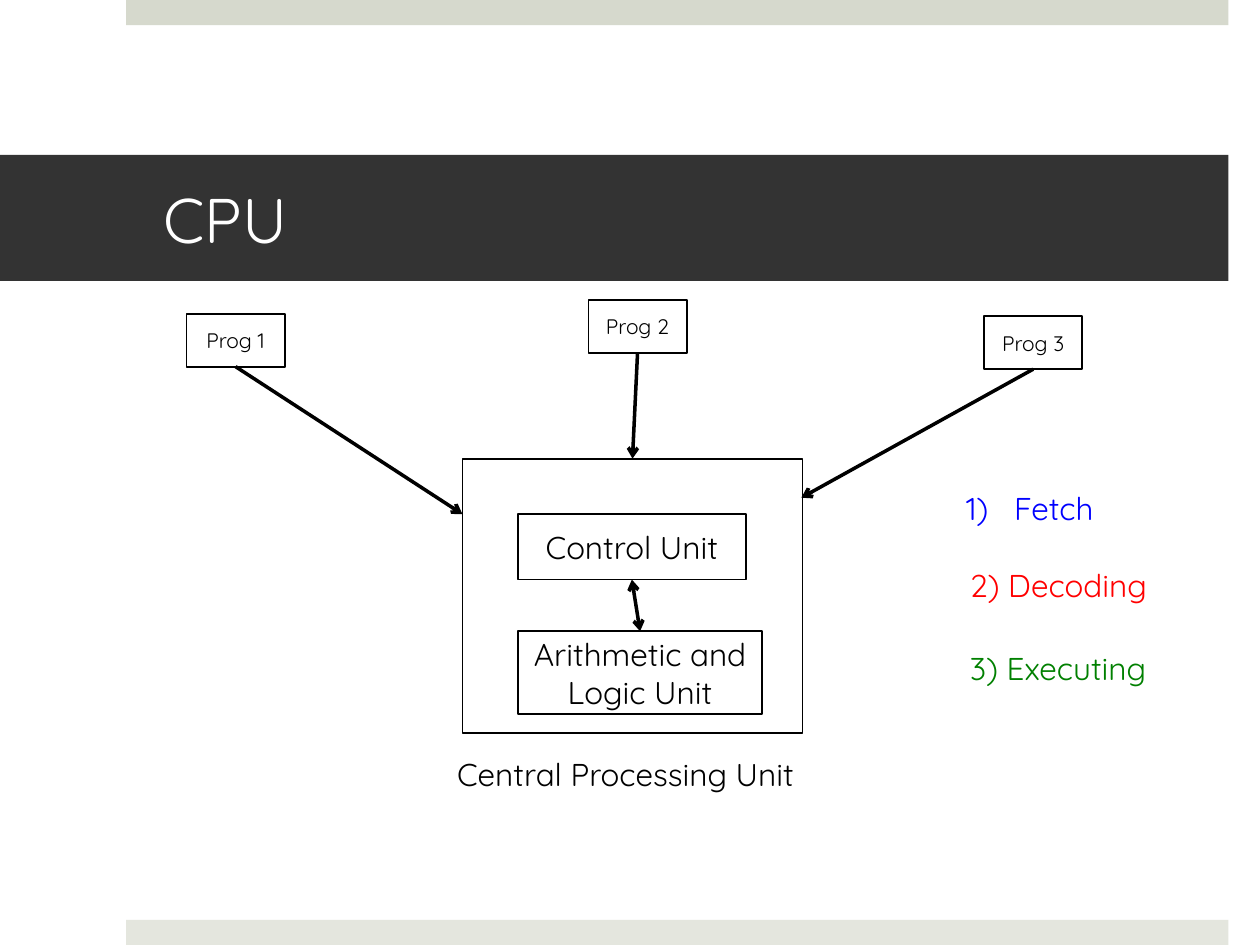
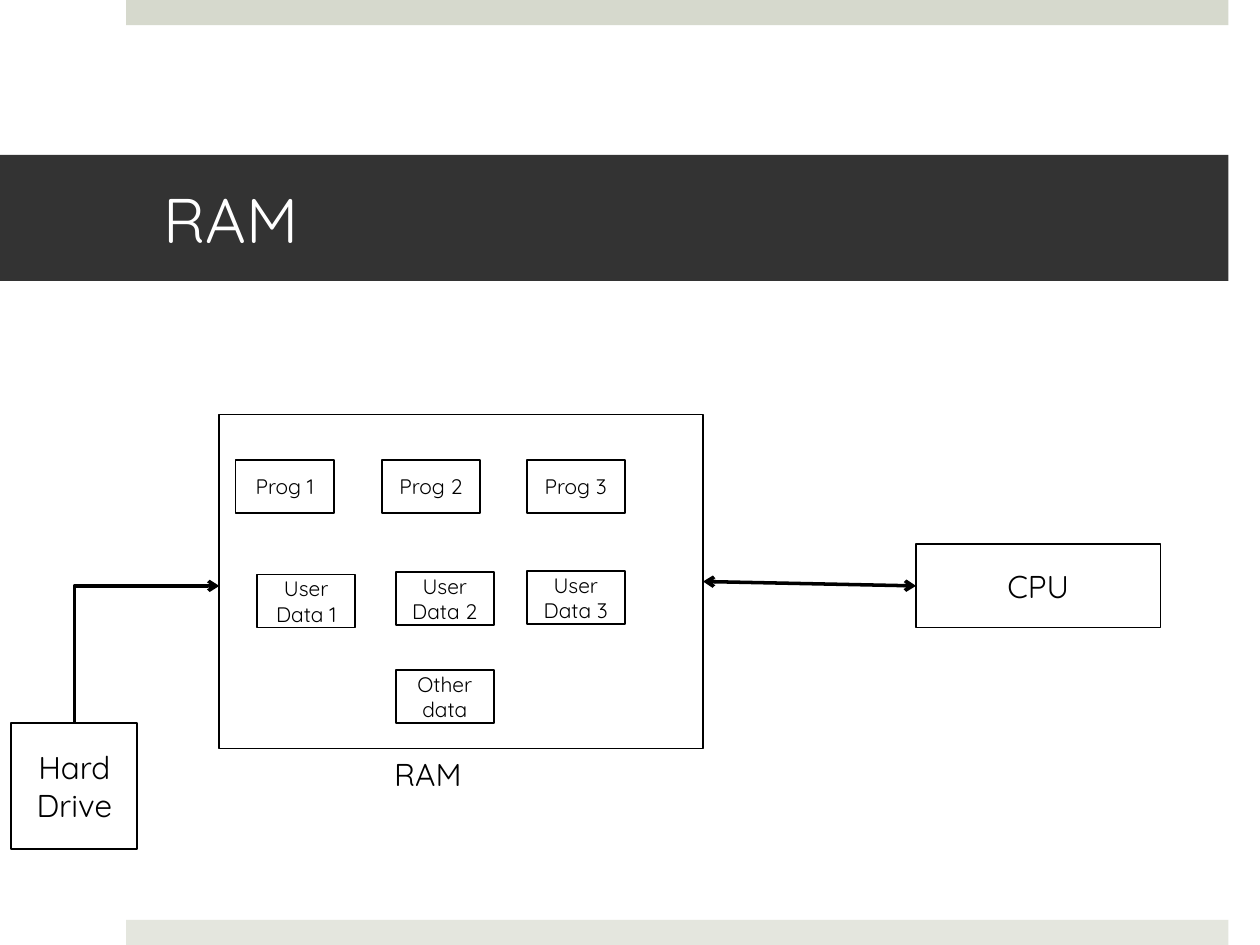
from lxml import etree
from pptx import Presentation
from pptx.dml.color import RGBColor
from pptx.enum.shapes import MSO_CONNECTOR, MSO_SHAPE
from pptx.enum.text import MSO_ANCHOR, MSO_AUTO_SIZE, PP_ALIGN
from pptx.oxml.ns import qn
from pptx.util import Pt

PX = 9144  # EMU in one px, at 100 px to the inch
RECTANGLE = MSO_SHAPE.RECTANGLE
STRAIGHT = MSO_CONNECTOR.STRAIGHT
MIDDLE = MSO_ANCHOR.MIDDLE
FIT_TEXT = MSO_AUTO_SIZE.SHAPE_TO_FIT_TEXT
LEFT, CENTER = PP_ALIGN.LEFT, PP_ALIGN.CENTER
TOP_SIDE, LEFT_SIDE, BOTTOM_SIDE, RIGHT_SIDE = range(4)

FONT = "Quicksand"
COLORS = {
    "top band": "D6D9CD",
    "bottom band": "E4E6DE",
    "title band": "333333",
    "white": "FFFFFF",
    "black": "000000",
    "fetch": "0000FF",
    "decode": "FF0000",
    "execute": "008000",
}
TITLE_FRAME = {
    "vertical_anchor": MIDDLE,
    "margin_left": 130 * PX,
    "margin_right": 30 * PX,
}
BOX_FRAME = {"vertical_anchor": MIDDLE, "word_wrap": True}
LABEL_FRAME = {"word_wrap": False, "auto_size": FIT_TEXT}
SMALL_BOX = (78, 42)


def set_attributes(target, values):
    for name, value in values.items():
        setattr(target, name, value)


def color(name):
    return RGBColor.from_string(COLORS[name])


class Deck:
    """Holds the presentation, its style and the slide being built."""

    def __init__(self):
        self.presentation = Presentation()
        set_attributes(self.presentation, {"slide_width": 1000 * PX, "slide_height": 750 * PX})
        self.slide = None

    def new_slide(self, title):
        self.slide = self.presentation.slides.add_slide(self.presentation.slide_layouts[6])
        self.rectangle(100, 0, 875, 20, "top band")
        self.rectangle(100, 730, 875, 20, "bottom band")
        band = self.rectangle(0, 123, 975, 100, "title band")
        self.add_text(band, title, 36, "white", LEFT, TITLE_FRAME)

    def rectangle(self, left, top, width, height, fill):
        shape = self.slide.shapes.add_shape(
            RECTANGLE, left * PX, top * PX, width * PX, height * PX)
        shape.shadow.inherit = False
        shape.fill.solid()
        shape.fill.fore_color.rgb = color(fill)
        shape.line.fill.background()
        return shape

    def add_text(self, shape, text, size, color_name, alignment, frame_format):
        frame = shape.text_frame
        set_attributes(frame, frame_format)
        paragraph = frame.paragraphs[0]
        paragraph.alignment = alignment
        run = paragraph.add_run()
        run.text = text
        set_attributes(run.font, {"name": FONT, "size": Pt(size)})
        run.font.color.rgb = color(color_name)
        return paragraph

    def outline(self, shape, width):
        shape.line.width = Pt(width)
        shape.line.color.rgb = color("black")

    def box(self, left, top, width, height, text="", size=18):
        shape = self.rectangle(left, top, width, height, "white")
        self.outline(shape, 1)
        if text:
            self.add_text(shape, text, size, "black", CENTER, BOX_FRAME)
        return shape

    def small_box(self, left, top, text):
        return self.box(left, top, *SMALL_BOX, text, 12)

    def label(self, left, top, width, text, color_name="black"):
        shape = self.slide.shapes.add_textbox(left * PX, top * PX, width * PX, 40 * PX)
        return self.add_text(shape, text, 18, color_name, LEFT, LABEL_FRAME)

    def numbered_label(self, left, top, width, text, color_name):
        properties = self.label(left, top, width, text, color_name)._p.get_or_add_pPr()
        properties.set("marL", str(38 * PX))
        properties.set("indent", str(-38 * PX))
        etree.SubElement(properties, qn("a:buAutoNum"), type="arabicParenR")

    def arrowheads(self, shape, ends):
        line = shape.line._get_or_add_ln()
        for end in ends:
            etree.SubElement(line, qn(f"a:{end}"), type="arrow")

    def arrow(self, start, side, target, target_side=None, ends=("tailEnd",)):
        """Join a side of start to a side of target, or to a point if no side is given."""
        x, y = (0, 0) if target_side is not None else target
        connector = self.slide.shapes.add_connector(STRAIGHT, 0, 0, x * PX, y * PX)
        connector.begin_connect(start, side)
        if target_side is not None:
            connector.end_connect(target, target_side)
        self.outline(connector, 2)
        self.arrowheads(connector, ends)
        etree.SubElement(connector._element.spPr, qn("a:effectLst"))

    def two_way_arrow(self, start, side, target, target_side):
        self.arrow(start, side, target, target_side, ("headEnd", "tailEnd"))

    def bent_arrow(self, start, *points):
        builder = self.slide.shapes.build_freeform(*start, scale=PX)
        builder.add_line_segments(points, close=False)
        shape = builder.convert_to_shape()
        shape.shadow.inherit = False
        shape.fill.background()
        self.outline(shape, 2)
        self.arrowheads(shape, ("tailEnd",))


def build_cpu_slide(deck):
    deck.new_slide("CPU")
    processor = deck.box(367, 364, 270, 218)
    deck.label(353, 594, 306, "Central Processing Unit")
    programs = [
        deck.small_box(left, top, f"Prog {number}")
        for number, (left, top) in enumerate([(148, 249), (467, 238), (781, 251)], 1)
    ]
    control_unit = deck.box(411, 408, 181, 52, "Control Unit")
    logic_unit = deck.box(411, 501, 194, 66, "Arithmetic and Logic Unit")

    deck.arrow(programs[0], BOTTOM_SIDE, (367, 408))
    deck.arrow(programs[1], BOTTOM_SIDE, processor, TOP_SIDE)
    deck.arrow(programs[2], BOTTOM_SIDE, (636, 395))
    deck.two_way_arrow(control_unit, BOTTOM_SIDE, logic_unit, TOP_SIDE)

    deck.numbered_label(757, 383, 125, "Fetch", "fetch")
    deck.label(760, 444, 173, "2) Decoding", "decode")
    deck.label(760, 510, 170, "3) Executing", "execute")


def build_ram_slide(deck):
    deck.new_slide("RAM")
    deck.label(303, 594, 77, "RAM")
    memory = deck.box(174, 329, 384, 265)
    processor = deck.box(727, 432, 194, 66, "CPU")
    deck.two_way_arrow(memory, RIGHT_SIDE, processor, LEFT_SIDE)

    for number, left in enumerate([187, 303, 418], 1):
        deck.small_box(left, 365, f"Prog {number}")
    for number, (left, top) in enumerate([(204, 456), (314, 454), (418, 453)], 1):
        deck.small_box(left, top, f"User Data {number}")
    deck.small_box(314, 532, "Other data")

    deck.box(9, 574, 100, 100, "Hard Drive")
    deck.bent_arrow((59, 574), (59, 465), (174, 465))


def main():
    deck = Deck()
    build_cpu_slide(deck)
    build_ram_slide(deck)
    deck.presentation.save("out.pptx")


if __name__ == "__main__":
    main()
